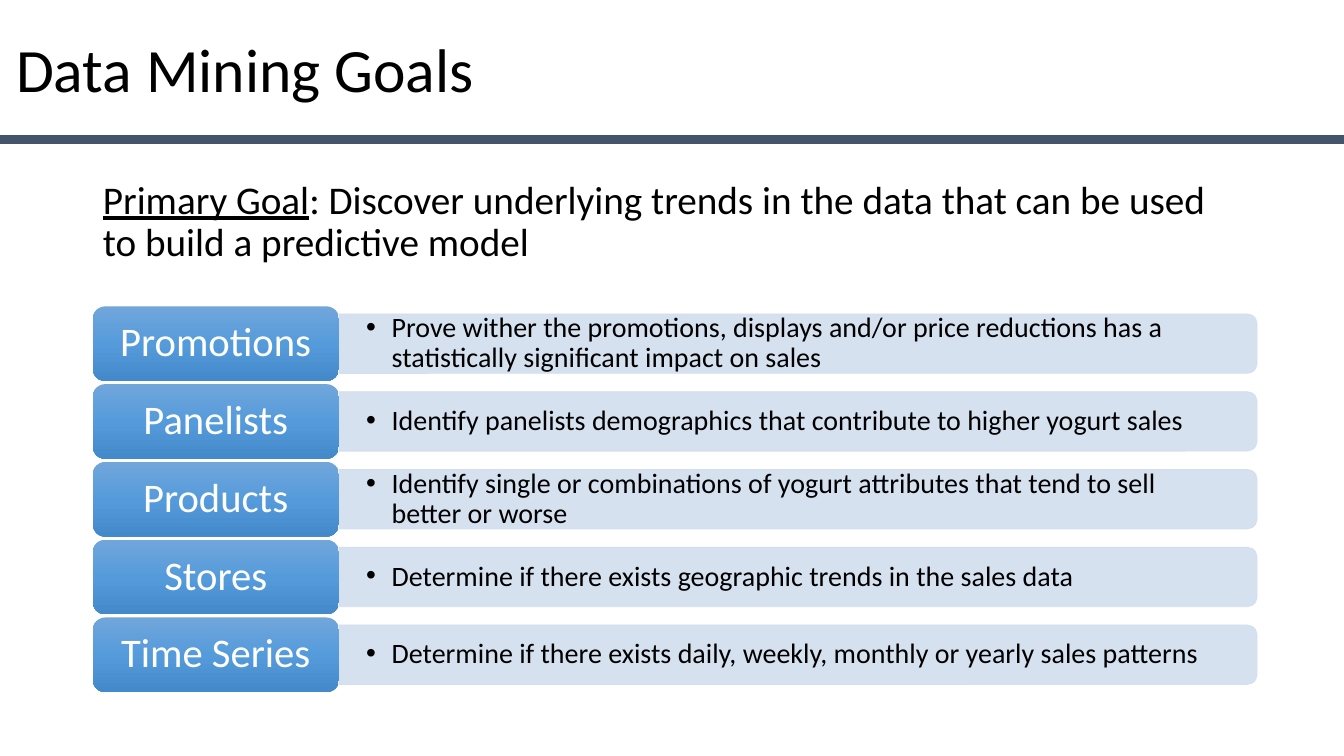
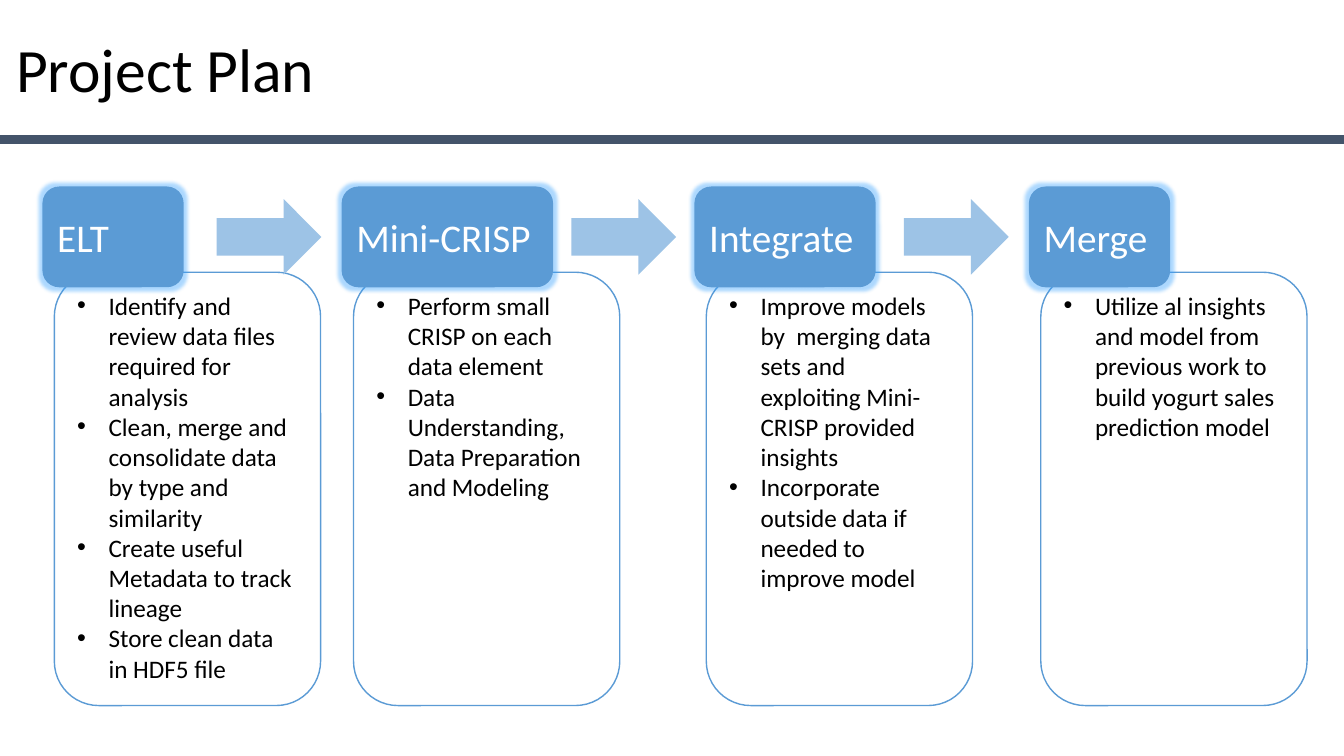
"""Build two slides: the data mining goals and the project plan."""
from copy import deepcopy

from lxml import etree
from pptx import Presentation
from pptx import util as u
from pptx.dml.color import RGBColor
from pptx.enum import shapes, text
from pptx.oxml.ns import qn

COLORS = {
    "text": "000000",
    "light": "FFFFFF",
    "band": "44546A",
    "accent": "5B9BD5",
    "arrow": "9DC3E6",
    "bar": "D2DEEF",
    "glow": "319FFF",
}
LABEL_STOPS = [(0, "71A6DB"), (0.5, "559BDB"), (1, "448ACA")]
FONT = "Calibri"
SHAPE = shapes.MSO_SHAPE
LEFT, CENTER = text.PP_ALIGN.LEFT, text.PP_ALIGN.CENTER
TOP, MIDDLE = text.MSO_ANCHOR.TOP, text.MSO_ANCHOR.MIDDLE


def style_text(frame, size, color="text", align=LEFT, anchor=MIDDLE, spacing=1.0, bullet=None):
    """Format all text in a frame; bullet is the hanging indent in cm."""
    frame.word_wrap = True
    frame.auto_size = text.MSO_AUTO_SIZE.NONE
    frame.vertical_anchor = anchor
    for paragraph in frame.paragraphs:
        paragraph.alignment = align
        paragraph.line_spacing = spacing
        for run in paragraph.runs:
            run.font.name = FONT
            run.font.size = u.Pt(size)
            run.font.color.rgb = RGBColor.from_string(COLORS[color])
        if bullet:
            properties = paragraph._p.get_or_add_pPr()
            properties.set("marL", str(u.Cm(bullet)))
            properties.set("indent", str(-u.Cm(bullet)))
            etree.SubElement(properties, qn("a:buFont"), typeface="Arial")
            etree.SubElement(properties, qn("a:buChar"), char="•")


def add_slide(layout_index, title):
    """Add a slide with the shared title style and band."""
    slide = presentation.slides.add_slide(presentation.slide_layouts[layout_index])
    heading = slide.shapes.title
    heading.left, heading.top = u.Cm(0.15), u.Cm(0)
    heading.width, heading.height = u.Cm(29.21), u.Cm(3.68)
    heading.text_frame.text = title
    style_text(heading.text_frame, 44, spacing=0.9)
    band = slide.shapes.add_connector(
        shapes.MSO_CONNECTOR.STRAIGHT, 0, u.Cm(3.52), presentation.slide_width, u.Cm(3.52))
    band.line.color.rgb = RGBColor.from_string(COLORS["band"])
    band.line.width = u.Pt(6)
    etree.SubElement(band._element.spPr, qn("a:effectLst"))
    return slide


presentation = Presentation()
presentation.slide_width, presentation.slide_height = u.Cm(33.87), u.Cm(19.05)

slide = add_slide(1, "Data Mining Goals")
body = slide.placeholders[1]
body.left, body.top = u.Cm(2.34), u.Cm(4.42)
body.width, body.height = u.Cm(29.21), u.Cm(12.09)
paragraph = body.text_frame.paragraphs[0]
paragraph.text = "Primary Goal"
paragraph.runs[0].font.underline = True
paragraph.add_run().text = (
    ": Discover underlying trends in the data that can be used to build a predictive model")
paragraph.space_before = u.Pt(10)
style_text(body.text_frame, 28, anchor=TOP, spacing=0.9)
properties = paragraph._p.get_or_add_pPr()
properties.set("marL", "0")
properties.set("indent", "0")
etree.SubElement(properties, qn("a:buNone"))

goals = [
    ("Promotions", "Prove wither the promotions, displays and/or price reductions has a "
                   "statistically significant impact on sales"),
    ("Panelists", "Identify panelists demographics that contribute to higher yogurt sales"),
    ("Products", "Identify single or combinations of yogurt attributes that tend to sell "
                 "better or worse"),
    ("Stores", "Determine if there exists geographic trends in the sales data"),
    ("Time Series", "Determine if there exists daily, weekly, monthly or yearly sales patterns"),
]
label_left, label_top, label_width, label_height, row_pitch = 2.34, 7.72, 6.2, 1.88, 1.96
bar_left, bar_length, bar_height = label_left + label_width, 23.14, 1.5

for row, (name, goal) in enumerate(goals):
    top = label_top + row * row_pitch
    middle = top + label_height / 2

    bar = slide.shapes.add_shape(
        SHAPE.ROUND_2_SAME_RECTANGLE,
        u.Cm(bar_left + (bar_length - bar_height) / 2), u.Cm(middle - bar_length / 2),
        u.Cm(bar_height), u.Cm(bar_length))
    bar.rotation = 90
    bar.shadow.inherit = False
    bar.fill.solid()
    bar.fill.fore_color.rgb = RGBColor.from_string(COLORS["bar"])
    bar.line.color.rgb = RGBColor.from_string(COLORS["bar"])
    bar.line.width = u.Pt(0.5)
    for color in bar._element.spPr.iter(qn("a:srgbClr")):
        etree.SubElement(color, qn("a:alpha"), val="90000")

    description = slide.shapes.add_textbox(
        u.Cm(bar_left), u.Cm(middle - bar_height / 2), u.Cm(bar_length), u.Cm(bar_height))
    frame = description.text_frame
    frame.text = goal
    frame.margin_left = frame.margin_right = u.Cm(0.69)
    frame.margin_top = frame.margin_bottom = 0
    style_text(frame, 20, spacing=0.9, bullet=0.64)

    label = slide.shapes.add_shape(
        SHAPE.ROUNDED_RECTANGLE, u.Cm(label_left), u.Cm(top), u.Cm(label_width), u.Cm(label_height))
    label.shadow.inherit = False
    label.line.fill.background()
    label.fill.gradient()
    label.fill.gradient_angle = 270
    stop_list = label._element.spPr.find(".//" + qn("a:gsLst"))
    stop_list.append(deepcopy(stop_list[0]))
    for stop, (position, color) in zip(label.fill.gradient_stops, LABEL_STOPS):
        stop.position = position
        stop.color.rgb = RGBColor.from_string(color)
    label.text_frame.text = name
    style_text(label.text_frame, 29, "light", CENTER, spacing=0.9)

slide = add_slide(5, "Project Plan")
phases = [
    ("ELT", 1.07, 3.56, [
        "Identify and review data files required for analysis",
        "Clean, merge and consolidate data by type and similarity",
        "Create useful Metadata to track lineage",
        "Store clean data in HDF5 file"]),
    ("Mini-CRISP", 8.61, 5.33, [
        "Perform small CRISP on each data element",
        "Data Understanding, Data Preparation and Modeling"]),
    ("Integrate", 17.5, 4.57, [
        "Improve models by  merging data sets and exploiting Mini-CRISP provided insights",
        "Incorporate outside data if needed to improve model"]),
    ("Merge", 25.93, 3.56, [
        "Utilize al insights and model from previous work to build yogurt sales prediction model"]),
]
header_top, header_height = 4.7, 2.54
arrow_width, arrow_height = 2.64, 1.9

for name, left, width, tasks in phases:
    box = slide.shapes.add_shape(
        SHAPE.ROUNDED_RECTANGLE, u.Cm(left + 0.3), u.Cm(6.86), u.Cm(6.71), u.Cm(10.92))
    box.shadow.inherit = False
    box.fill.background()
    box.line.color.rgb = RGBColor.from_string(COLORS["accent"])
    box.line.width = u.Pt(1)
    box.text_frame.text = "\n".join(tasks)
    style_text(box.text_frame, 18, anchor=TOP, bullet=0.79)

    header = slide.shapes.add_shape(
        SHAPE.ROUNDED_RECTANGLE, u.Cm(left), u.Cm(header_top), u.Cm(width), u.Cm(header_height))
    header.shadow.inherit = False
    header.fill.solid()
    header.fill.fore_color.rgb = RGBColor.from_string(COLORS["accent"])
    header.line.fill.background()
    effects = header._element.spPr.find(qn("a:effectLst"))
    glow = etree.SubElement(effects, qn("a:glow"), rad=str(u.Pt(5)))
    glow_color = etree.SubElement(glow, qn("a:srgbClr"), val=COLORS["glow"])
    etree.SubElement(glow_color, qn("a:alpha"), val="40000")
    header.text_frame.text = name
    style_text(header.text_frame, 28, "light")

for left in (5.46, 14.4, 22.78):
    arrow = slide.shapes.add_shape(
        SHAPE.RIGHT_ARROW, u.Cm(left), u.Cm(header_top + (header_height - arrow_height) / 2),
        u.Cm(arrow_width), u.Cm(arrow_height))
    arrow.shadow.inherit = False
    arrow.fill.solid()
    arrow.fill.fore_color.rgb = RGBColor.from_string(COLORS["arrow"])
    arrow.line.fill.background()

presentation.save("out.pptx")
